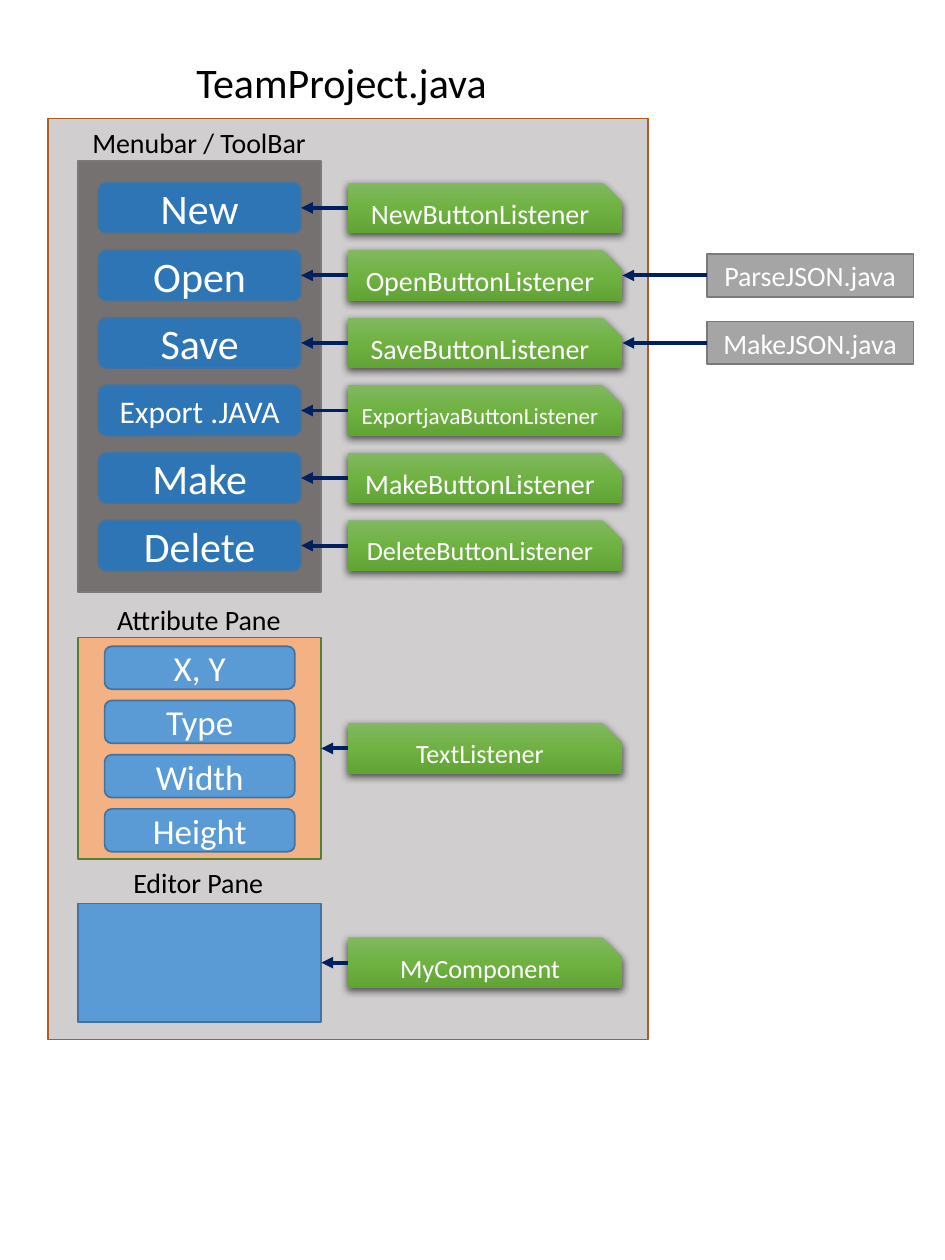
"""Draw the listener structure of a Java GUI project on one portrait slide."""
from dataclasses import dataclass
from typing import Any, NamedTuple, Optional

import pptx
import pptx.dml.color
import pptx.enum.shapes
import pptx.enum.text
import pptx.oxml
import pptx.oxml.ns
import pptx.util

SHAPE = pptx.enum.shapes.MSO_SHAPE
ALIGN = pptx.enum.text.PP_ALIGN
ANCHOR = pptx.enum.text.MSO_ANCHOR
WIDTH, HEIGHT = pptx.util.Inches(7.5), pptx.util.Inches(10)


@dataclass(frozen=True)
class Theme:
    font: str = "Calibri"
    ink: str = "000000"
    light: str = "FFFFFF"
    frame: tuple = ("D0CECE", "AF5C24")
    menu: tuple = ("767171", "7A7A7A")
    button: tuple = ("2E75B6", "43739E")
    attributes: tuple = ("F4B183", "538035")
    field: tuple = ("5B9BD5", "43739E")
    file: tuple = ("A5A5A5", "7A7A7A")
    listener: tuple = ((0, "81B861"), (50, "6FB242"), (100, "62A336"))
    arrow: str = "002060"
    title: float = 24
    value: float = 20
    medium: float = 18
    body: float = 16
    small: float = 15
    tiny: float = 13.2


class Box(NamedTuple):
    """Position and size in percent of the slide's width and height."""
    x: float
    y: float
    w: float
    h: float

    @property
    def right(self) -> float:
        return self.x + self.w

    @property
    def middle(self) -> float:
        return self.y + self.h / 2

    def down(self, pitch: float, rows: int) -> "Box":
        return self._replace(y=self.y + pitch * rows)

    def emu(self) -> tuple:
        return (across(self.x), down(self.y), across(self.w), down(self.h))


class Action(NamedTuple):
    button: str
    button_size: float
    listener: str
    listener_size: float
    file: Optional[str] = None


T = Theme()
ACTIONS = (
    Action("New", T.title, "NewButtonListener", T.body),
    Action("Open", T.title, "OpenButtonListener", T.body, "ParseJSON.java"),
    Action("Save", T.title, "SaveButtonListener", T.body, "MakeJSON.java"),
    Action("Export .JAVA", T.medium, "ExportjavaButtonListener", T.tiny),
    Action("Make", T.title, "MakeButtonListener", T.body),
    Action("Delete", T.title, "DeleteButtonListener", T.small),
)
FIELDS = ("X, Y", "Type", "Width", "Height")
ACTION_PITCH, FIELD_PITCH = 5.36, 4.3

FRAME = Box(5.07, 9.4, 63.47, 73.1)
MENU = Box(8.27, 12.8, 25.73, 34.2)
ATTRIBUTES = MENU._replace(y=50.6, h=17.6)
EDITOR = MENU._replace(y=71.7, h=9.4)
BUTTON = Box(10.4, 14.5, 21.47, 4)
FIELD = Box(11.07, 51.3, 20.13, 3.4)
LISTENER = Box(36.8, 14.5, 29.07, 4)
FILE = Box(74.8, 14.8, 21.87, 3.4)


def across(share: float) -> int:
    return round(WIDTH * share / 100)


def down(share: float) -> int:
    return round(HEIGHT * share / 100)


def rgb(value: str) -> pptx.dml.color.RGBColor:
    return pptx.dml.color.RGBColor.from_string(value)


def write(tf: Any, text: str, *, size: float, color: str, align: Any) -> None:
    p = tf.paragraphs[0]
    p.alignment = align
    r = p.add_run()
    r.text = text
    r.font.name, r.font.size = T.font, pptx.util.Pt(size)
    r.font.color.rgb = rgb(color)


def add_label(shapes: Any, box: Box, text: str, size: float, align: Any = ALIGN.LEFT) -> None:
    tf = shapes.add_textbox(*box.emu()).text_frame
    tf.word_wrap = True
    tf.auto_size = pptx.enum.text.MSO_AUTO_SIZE.SHAPE_TO_FIT_TEXT
    write(tf, text, size=size, color=T.ink, align=align)


def add_block(shapes: Any, kind: Any, box: Box, text: str = "", size: float = T.body) -> Any:
    sp = shapes.add_shape(kind, *box.emu())
    sp.shadow.inherit = False
    if text:
        tf = sp.text_frame
        tf.word_wrap = kind != SHAPE.SNIP_1_RECTANGLE
        tf.vertical_anchor = ANCHOR.MIDDLE
        write(tf, text, size=size, color=T.light, align=ALIGN.CENTER)
    return sp


def add_panel(shapes: Any, box: Box, colors: tuple, text: str = "",
              size: float = T.body, kind: Any = SHAPE.RECTANGLE) -> None:
    sp = add_block(shapes, kind, box, text, size)
    sp.fill.solid()
    sp.fill.fore_color.rgb = rgb(colors[0])
    sp.line.color.rgb = rgb(colors[1])
    sp.line.width = pptx.util.Pt(1)


def add_listener(shapes: Any, box: Box, text: str, size: float) -> None:
    sp = add_block(shapes, SHAPE.SNIP_1_RECTANGLE, box, text, size)
    sp.adjustments[0] = 0.396
    sp.line.fill.background()
    sp.fill.gradient()
    sp.fill.gradient_angle = 270
    ns = pptx.oxml.ns.nsdecls("a")
    stops = "".join(f'<a:gs pos="{pos * 1000}"><a:srgbClr val="{color}"/></a:gs>'
                    for pos, color in T.listener)
    pr = sp._element.spPr
    old = pr.find(".//" + pptx.oxml.ns.qn("a:gsLst"))
    old.getparent().replace(old, pptx.oxml.parse_xml(f"<a:gsLst {ns}>{stops}</a:gsLst>"))
    pr.find(pptx.oxml.ns.qn("a:effectLst")).append(pptx.oxml.parse_xml(
        f'<a:outerShdw {ns} blurRad="57150" dist="19050" dir="5400000" algn="ctr" '
        f'rotWithShape="0"><a:srgbClr val="{T.ink}"><a:alpha val="63000"/>'
        '</a:srgbClr></a:outerShdw>'))


def add_arrow(shapes: Any, start: float, end: float, y: float) -> None:
    sp = shapes.add_connector(pptx.enum.shapes.MSO_CONNECTOR.STRAIGHT,
                              across(start), down(y), across(end), down(y))
    sp.line.color.rgb = rgb(T.arrow)
    sp.line.width = pptx.util.Pt(2.25)
    ns = pptx.oxml.ns.nsdecls("a")
    sp.line._get_or_add_ln().append(pptx.oxml.parse_xml(f'<a:tailEnd {ns} type="triangle"/>'))
    sp._element.spPr.append(pptx.oxml.parse_xml(f"<a:effectLst {ns}/>"))


def add_actions(shapes: Any, menu: Any) -> None:
    for row, action in enumerate(ACTIONS):
        button, listener, file = (b.down(ACTION_PITCH, row) for b in (BUTTON, LISTENER, FILE))
        add_panel(menu, button, T.button, action.button, action.button_size,
                  SHAPE.ROUNDED_RECTANGLE)
        add_listener(shapes, listener, action.listener, action.listener_size)
        add_arrow(shapes, listener.x, button.right, listener.middle)
        if action.file:
            add_panel(shapes, file, T.file, action.file)
            add_arrow(shapes, file.x, listener.right, listener.middle)


def main() -> None:
    prs = pptx.Presentation()
    prs.slide_width, prs.slide_height = WIDTH, HEIGHT
    shapes = prs.slides.add_slide(prs.slide_layouts[6]).shapes
    add_panel(shapes, FRAME, T.frame)
    add_label(shapes, Box(19.47, 4, 34.67, 5), "TeamProject.java", T.title)

    menu, attributes, editor = (shapes.add_group_shape().shapes for _ in range(3))
    add_panel(menu, MENU, T.menu)
    add_label(menu, Box(8.27, 9.5, 25.6, 3.7), "Menubar / ToolBar", T.body, ALIGN.CENTER)
    add_actions(shapes, menu)

    add_panel(attributes, ATTRIBUTES, T.attributes)
    add_label(attributes, Box(11.07, 47.3, 20.13, 3.7), "Attribute Pane", T.body)
    for row, name in enumerate(FIELDS):
        add_panel(attributes, FIELD.down(FIELD_PITCH, row), T.field, name, T.value,
                  SHAPE.ROUNDED_RECTANGLE)

    add_panel(editor, EDITOR, T.field)
    add_label(editor, Box(12.8, 68.2, 16.8, 3.7), "Editor Pane", T.body)

    for pane, name in ((ATTRIBUTES, "TextListener"), (EDITOR, "MyComponent")):
        listener = LISTENER._replace(y=pane.middle - LISTENER.h / 2)
        add_listener(shapes, listener, name, T.small)
        add_arrow(shapes, listener.x, pane.right, listener.middle)
    prs.save("out.pptx")


if __name__ == "__main__":
    main()
